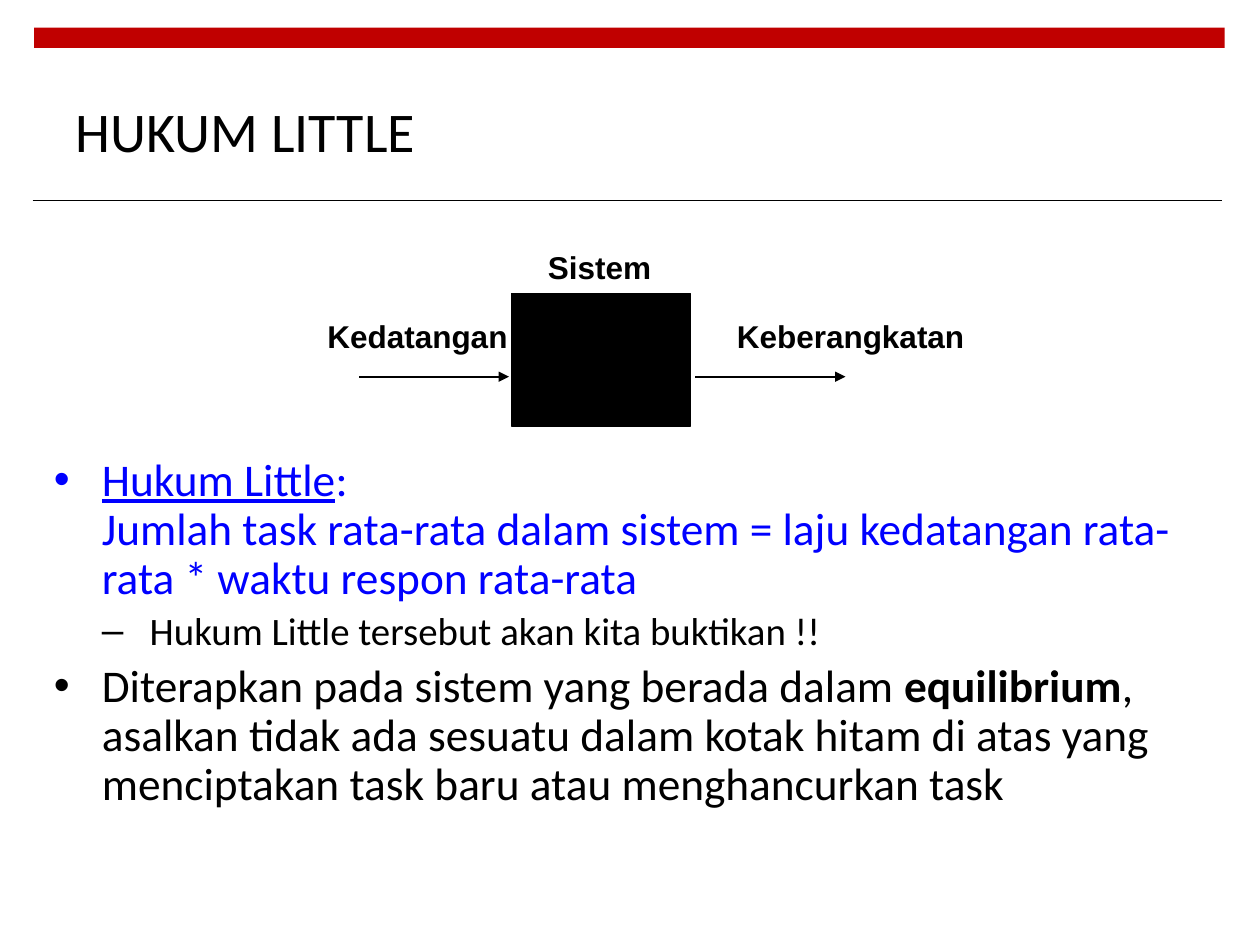
from dataclasses import dataclass

from lxml import etree
from pptx import Presentation
from pptx import util as u
from pptx.dml import color as c
from pptx.enum import shapes, text
from pptx.oxml import ns


@dataclass(frozen=True)
class Theme:
    black: c.RGBColor = c.RGBColor(0x00, 0x00, 0x00)
    red: c.RGBColor = c.RGBColor(0xC0, 0x00, 0x00)
    blue: c.RGBColor = c.RGBColor(0x00, 0x00, 0xFF)
    body_font: str = "Calibri"
    label_font: str = "Arial"
    title_size: float = 32
    point_size: float = 25.9
    subpoint_size: float = 22.2
    label_size: float = 18
    rule_width: float = 0.6
    line_width: float = 1


THEME = Theme()


def style(font, name, size, color, bold=False):
    font.name = name
    font.size = u.Pt(size)
    font.color.rgb = color
    font.bold = bold


def add_block(page, left, top, width, height, color):
    block = page.shapes.add_shape(
        shapes.MSO_SHAPE.RECTANGLE,
        u.Inches(left), u.Inches(top), u.Inches(width), u.Inches(height))
    block.shadow.inherit = False
    block.fill.solid()
    block.fill.fore_color.rgb = color
    block.line.fill.background()
    return block


def add_line(page, start, end, y, width, arrow=False):
    line = page.shapes.add_connector(
        shapes.MSO_CONNECTOR.STRAIGHT,
        u.Inches(start), u.Inches(y), u.Inches(end), u.Inches(y))
    line.line.color.rgb = THEME.black
    line.line.width = u.Pt(width)
    if arrow:
        outline = line._element.spPr.find(ns.qn("a:ln"))
        etree.SubElement(outline, ns.qn("a:tailEnd"), type="triangle")
    etree.SubElement(line._element.spPr, ns.qn("a:effectLst"))


def add_label(page, words, left, top, width):
    label = page.shapes.add_textbox(
        u.Inches(left), u.Inches(top), u.Inches(width), u.Inches(0.4))
    frame = label.text_frame
    frame.word_wrap = False
    frame.auto_size = text.MSO_AUTO_SIZE.SHAPE_TO_FIT_TEXT
    frame.text = words
    style(frame.paragraphs[0].runs[0].font,
          THEME.label_font, THEME.label_size, THEME.black, bold=True)


def add_header(page, left, top, width):
    add_block(page, left, top, width, 0.16, THEME.red)
    add_line(page, left - 0.01, left + width - 0.02, top + 1.37,
             THEME.rule_width)
    title = page.shapes.title
    title.left, title.top = u.Inches(left + 0.23), u.Inches(top + 0.3)
    title.width, title.height = u.Inches(6.66), u.Inches(1.03)
    frame = title.text_frame
    frame.auto_size = text.MSO_AUTO_SIZE.NONE
    frame.vertical_anchor = text.MSO_ANCHOR.MIDDLE
    frame.text = "HUKUM LITTLE"
    para = frame.paragraphs[0]
    para.alignment = text.PP_ALIGN.LEFT
    style(para.runs[0].font, THEME.body_font, THEME.title_size, THEME.black)


def add_system_diagram(page, left, top, width, height):
    system = add_block(page, left, top, width, height, THEME.black)
    system.line.color.rgb = THEME.black
    system.line.width = u.Pt(THEME.line_width)
    arrow_y, arrow_length = top + 0.66, 1.19
    arrow_starts = (left - 0.02 - arrow_length, left + width + 0.04)
    for start in arrow_starts:
        add_line(page, start, start + arrow_length, arrow_y,
                 THEME.line_width, arrow=True)
    add_label(page, "Sistem", left + 0.19, top - 0.41, 1.02)
    add_label(page, "Kedatangan", left - 1.56, top + 0.14, 1.63)
    add_label(page, "Keberangkatan", left + 1.69, top + 0.14, 2.1)


def add_point(para, mark, level, size, color, spans):
    indent = u.Inches(0.38)
    props = para._p.get_or_add_pPr()
    props.set("marL", str(indent * (level + 1)))
    props.set("indent", str(-indent))
    para.level = level
    para.line_spacing = 0.9
    etree.SubElement(props, ns.qn("a:buFont"), typeface=THEME.label_font)
    etree.SubElement(props, ns.qn("a:buChar"), char=mark)
    for words, look in spans:
        if look == "break":
            para.add_line_break()
        span = para.add_run()
        span.text = words
        style(span.font, THEME.body_font, size, color, bold=look == "bold")
        span.font.underline = look == "underline"


def add_points(page, left, top, width, height):
    box = page.shapes.add_textbox(
        u.Inches(left), u.Inches(top), u.Inches(width), u.Inches(height))
    frame = box.text_frame
    frame.word_wrap = True
    points = [
        ("•", 0, THEME.point_size, THEME.blue, [
            ("Hukum Little", "underline"),
            (": ", "plain"),
            ("Jumlah task rata-rata dalam sistem = laju kedatangan "
             "rata-rata * waktu respon rata-rata", "break"),
        ]),
        ("–", 1, THEME.subpoint_size, THEME.black, [
            ("Hukum Little tersebut akan kita buktikan !!", "plain"),
        ]),
        ("•", 0, THEME.point_size, THEME.black, [
            ("Diterapkan pada sistem yang berada dalam ", "plain"),
            ("equilibrium", "bold"),
            (", asalkan tidak ada sesuatu dalam kotak hitam di atas yang "
             "menciptakan task baru atau menghancurkan task", "plain"),
        ]),
    ]
    for number, point in enumerate(points):
        para = frame.add_paragraph() if number else frame.paragraphs[0]
        add_point(para, *point)
        if number:
            para.space_before = u.Pt(point[2] * 0.2)


def main():
    deck = Presentation()
    deck.slide_width, deck.slide_height = u.Inches(10), u.Inches(7.5)
    page = deck.slides.add_slide(deck.slide_layouts[5])
    add_header(page, 0.27, 0.22, 9.45)
    add_points(page, 0.33, 3.58, 9.25, 3.06)
    add_system_diagram(page, 4.06, 2.33, 1.42, 1.05)
    deck.save("out.pptx")


if __name__ == "__main__":
    main()
